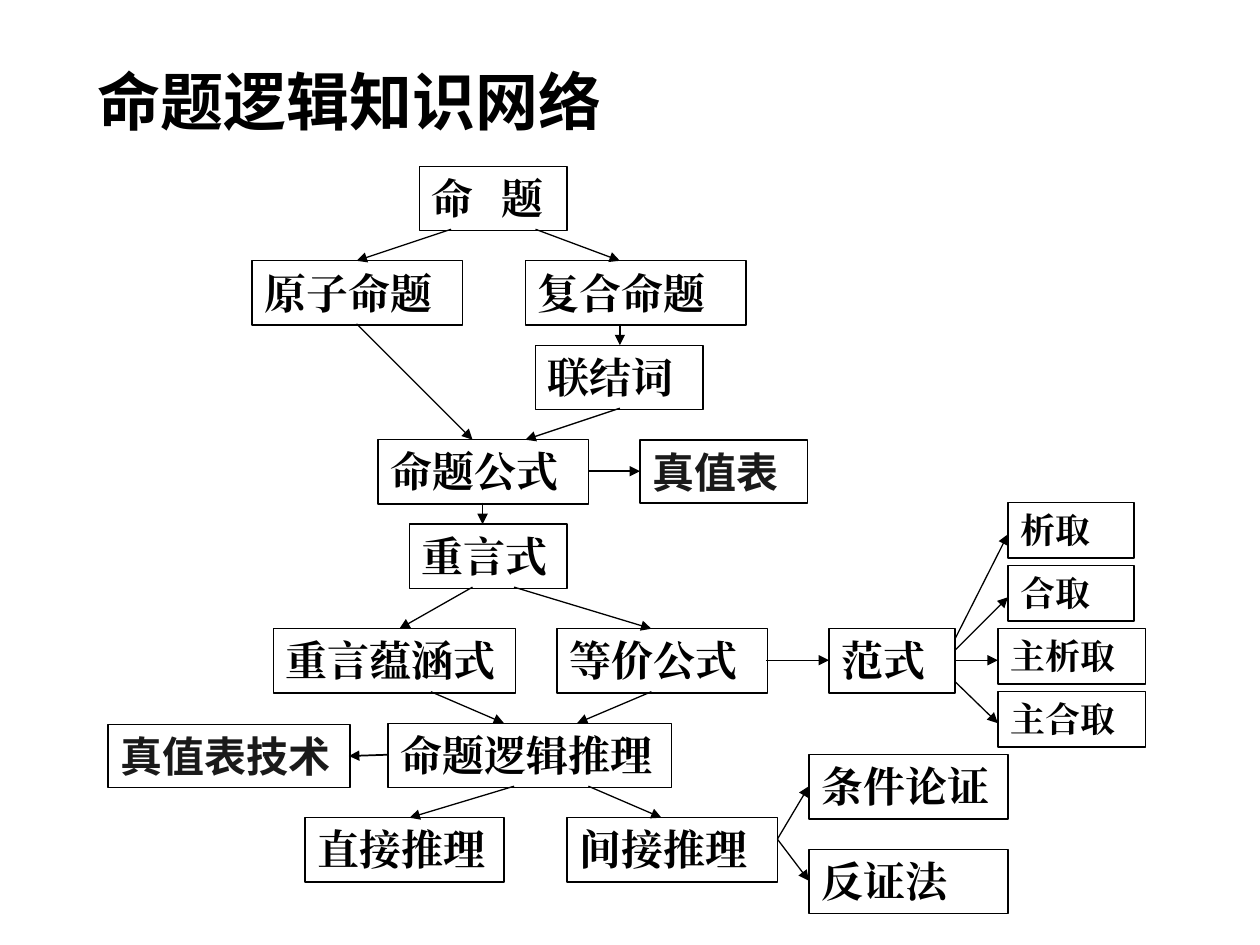
from lxml import etree
from pptx import Presentation
from pptx.dml.color import RGBColor
from pptx.enum.shapes import MSO_CONNECTOR, MSO_SHAPE
from pptx.enum.text import MSO_ANCHOR, PP_ALIGN
from pptx.oxml.ns import qn
from pptx.util import Emu, Pt

PX = 9144  # 100 px to the inch
RECT, STRAIGHT = MSO_SHAPE.RECTANGLE, MSO_CONNECTOR.STRAIGHT
TOP, MIDDLE, LEFT = MSO_ANCHOR.TOP, MSO_ANCHOR.MIDDLE, PP_ALIGN.LEFT
COLORS = {"ink": "000000", "table": "1A1A1A"}
SANS, SERIF = "Noto Sans CJK SC", "Times New Roman"
NODE_H, FORM_H = 51, 44
JOIN = 50   # arrows leave a node this far below its top
MID = 25    # arrows enter a node from the side at this depth

# label: (left, top, width) inside the tree
CONCEPTS = {
    "命 题": (133, 0, 117),
    "原子命题": (0, 75, 167),
    "复合命题": (217, 75, 175),
    "联结词": (225, 142, 133),
    "命题公式": (100, 217, 167),
    "重言式": (125, 284, 125),
    "重言蕴涵式": (17, 367, 192),
    "等价公式": (242, 367, 167),
    "命题逻辑推理": (108, 442, 225),
    "直接推理": (42, 517, 158),
    "间接推理": (250, 517, 167),
    "条件论证": (442, 467, 158),
    "反证法": (442, 542, 158),
}
# upper concept, x where the arrow leaves, lower concept, x where it arrives
DESCENTS = [
    ("命 题", 158, "原子命题", 83),
    ("命 题", 225, "复合命题", 292),
    ("复合命题", 292, "联结词", 292),
    ("原子命题", 83, "命题公式", 175),
    ("联结词", 292, "命题公式", 217),
    ("命题公式", 183, "重言式", 183),
    ("重言式", 175, "重言蕴涵式", 117),
    ("重言式", 208, "等价公式", 317),
    ("重言蕴涵式", 142, "命题逻辑推理", 200),
    ("等价公式", 317, "命题逻辑推理", 258),
    ("命题逻辑推理", 208, "直接推理", 125),
    ("命题逻辑推理", 267, "间接推理", 325),
]
# label, left, width, y where its arrow leaves 范式
NORMAL_FORMS = [
    ("析取", 142, 100, 108),
    ("合取", 142, 100, 117),
    ("主析取", 134, 117, 125),
    ("主合取", 134, 117, 142),
]


def px(*lengths):
    return [Emu(length * PX) for length in lengths]


def rgb(name):
    return RGBColor.from_string(COLORS[name])


def format_text(paragraph, size, font, color):
    paragraph.alignment = LEFT
    for run in paragraph.runs:
        run.font.size = Pt(size)
        run.font.bold = True
        run.font.name = font
        run.font.color.rgb = rgb(color)
        east_asian = etree.SubElement(run.font._element, qn("a:ea"))
        east_asian.set("typeface", font)


def add_node(slide, box, label, size=24, font=SERIF, color="ink",
             anchor=TOP, line=0.75):
    node = slide.shapes.add_shape(RECT, *px(*box))
    node.shadow.inherit = False
    node.fill.background()
    node.line.color.rgb = rgb("ink")
    node.line.width = Pt(line)
    frame = node.text_frame
    frame.word_wrap = True
    frame.vertical_anchor = anchor
    frame.text = label
    format_text(frame.paragraphs[0], size, font, color)
    return node


def add_arrow(slide, start, end, line=0.75):
    arrow = slide.shapes.add_connector(STRAIGHT, *px(*start, *end))
    arrow.line.color.rgb = rgb("ink")
    arrow.line.width = Pt(line)
    head = etree.SubElement(arrow.line._get_or_add_ln(), qn("a:tailEnd"))
    head.set("type", "triangle")
    etree.SubElement(arrow._element.spPr, qn("a:effectLst"))


def draw_title(slide, box):
    title = slide.shapes.title
    title.left, title.top, title.width, title.height = px(*box)
    title.text_frame.text = "命题逻辑知识网络"
    title.text_frame.vertical_anchor = MIDDLE
    format_text(title.text_frame.paragraphs[0], 36, SANS, "ink")


def draw_concept_tree(slide, x, y):
    nodes = {}
    for label, (left, top, width) in CONCEPTS.items():
        nodes[label] = add_node(slide, (x + left, y + top, width, NODE_H), label)
    # Spread the two characters of the root
    root_run = nodes["命 题"].text_frame.paragraphs[0].runs[0]
    root_run.font._element.set("spc", "500")

    for upper, leave_x, lower, arrive_x in DESCENTS:
        add_arrow(slide, (x + leave_x, y + CONCEPTS[upper][1] + JOIN),
                  (x + arrive_x, y + CONCEPTS[lower][1]))

    # Indirect reasoning forks to the right
    left, top, width = CONCEPTS["间接推理"]
    for method in ("条件论证", "反证法"):
        method_left, method_top, _ = CONCEPTS[method]
        add_arrow(slide, (x + left + width, y + top + 17),
                  (x + method_left, y + method_top + MID))


def draw_normal_forms(slide, x, y):
    stem_top, stem_width = 100, 100
    add_node(slide, (x, y + stem_top, stem_width, NODE_H), "范式")
    entry_y = y + stem_top + MID
    add_arrow(slide, (x - 50, entry_y), (x, entry_y))
    for row, (label, left, width, leave_y) in enumerate(NORMAL_FORMS):
        top = y + row * 50
        add_node(slide, (x + left, top, width, FORM_H), label, size=20)
        add_arrow(slide, (x + stem_width, y + leave_y), (x + left, top + MID))


def draw_truth_table(slide, box, label, start, entry_x):
    add_node(slide, box, label, font=SANS, color="table", anchor=MIDDLE, line=1)
    add_arrow(slide, start, (entry_x, box[1] + MID), line=1)


def main():
    prs = Presentation()
    prs.slide_width, prs.slide_height = px(1000, 750)
    slide = prs.slides.add_slide(prs.slide_layouts[5])
    draw_title(slide, (67, 39, 867, 81))
    draw_concept_tree(slide, 200, 132)
    draw_normal_forms(slide, 658, 399)
    draw_truth_table(slide, (86, 575, 192, 50), "真值表技术", (308, 599), 277)
    draw_truth_table(slide, (508, 349, 133, 50), "真值表", (467, 374), 508)
    prs.save("out.pptx")


if __name__ == "__main__":
    main()
